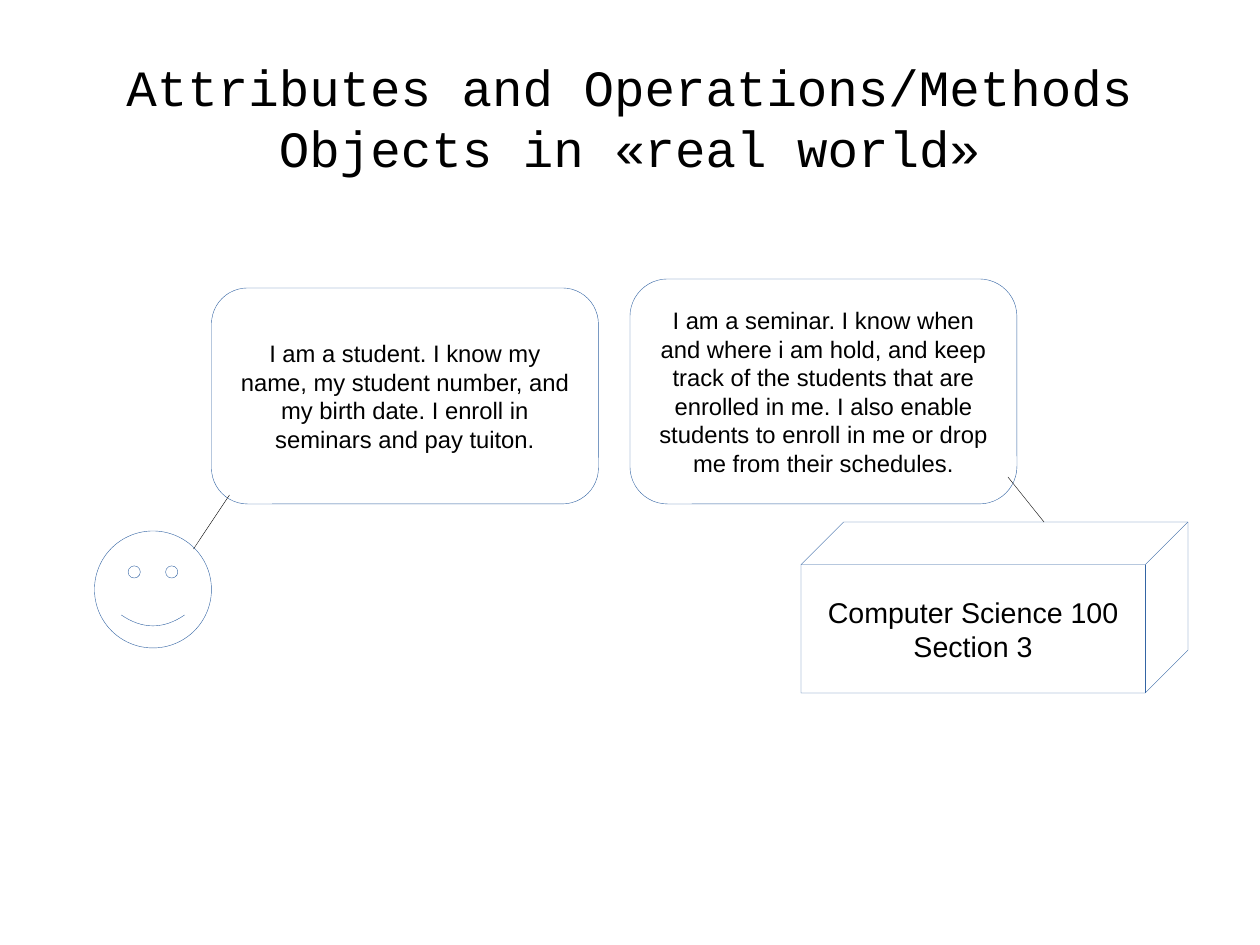
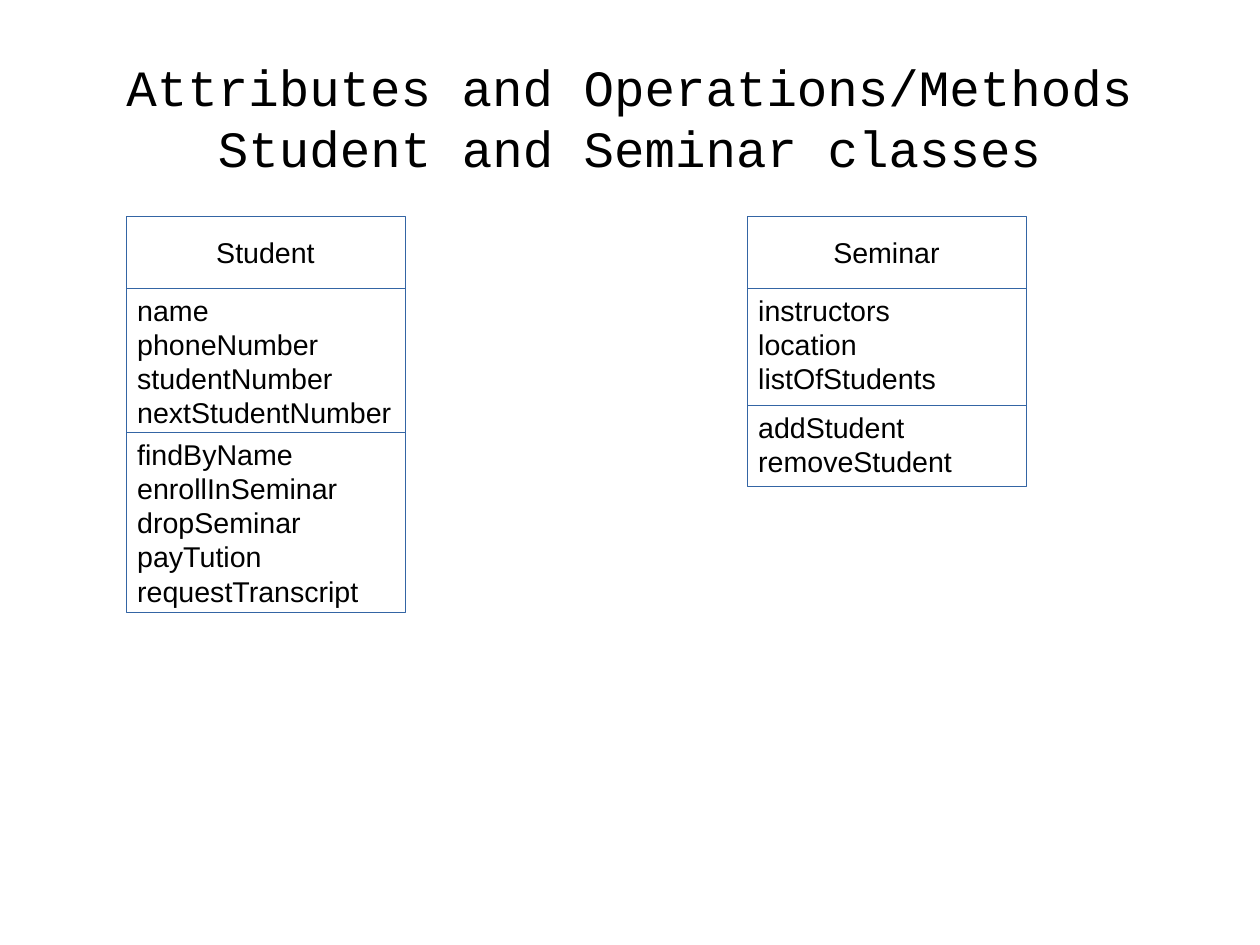
"""Build two slides on attributes and operations: real-world objects and their classes."""
from pptx import Presentation
from pptx.dml.color import RGBColor
from pptx.enum.shapes import MSO_CONNECTOR, MSO_SHAPE
from pptx.enum.text import MSO_ANCHOR, MSO_AUTO_SIZE, PP_ALIGN
from pptx.oxml.ns import qn
from pptx.util import Cm, Pt
from lxml import etree

LEFT, CENTER = PP_ALIGN.LEFT, PP_ALIGN.CENTER
TOP, MIDDLE = MSO_ANCHOR.TOP, MSO_ANCHOR.MIDDLE
NO_AUTOFIT = MSO_AUTO_SIZE.NONE
RECTANGLE, ROUNDED = MSO_SHAPE.RECTANGLE, MSO_SHAPE.ROUNDED_RECTANGLE
SMILEY, CUBE = MSO_SHAPE.SMILEY_FACE, MSO_SHAPE.CUBE
STRAIGHT = MSO_CONNECTOR.STRAIGHT
TITLE_ONLY = 5

color = RGBColor.from_string
BLACK, BLUE = "000000", "3465A4"
HAIRLINE = Pt(0.25)


def write_text(shape, text, size, font="Arial", align=CENTER, anchor=MIDDLE):
    frame = shape.text_frame
    frame.text = text
    frame.word_wrap = True
    frame.auto_size = NO_AUTOFIT
    frame.vertical_anchor = anchor
    for paragraph in frame.paragraphs:
        paragraph.alignment = align
        paragraph.font.name = font
        paragraph.font.size = Pt(size)
        paragraph.font.color.rgb = color(BLACK)
    return frame


def add_outline(slide, kind, left, top, width, height):
    shape = slide.shapes.add_shape(kind, Cm(left), Cm(top), Cm(width), Cm(height))
    shape.shadow.inherit = False
    shape.fill.background()
    shape.line.color.rgb = color(BLUE)
    shape.line.width = HAIRLINE
    return shape


presentation = Presentation()
presentation.slide_width, presentation.slide_height = Cm(28), Cm(21)
layout = presentation.slide_layouts[TITLE_ONLY]

slides = []
for subtitle in ("Objects in «real world»", "Student and Seminar classes"):
    slide = presentation.slides.add_slide(layout)
    title = slide.shapes.title
    title.left, title.top, title.width, title.height = Cm(1.4), Cm(0.84), Cm(25.2), Cm(3.5)
    frame = write_text(title, f"Attributes and Operations/Methods\v{subtitle}",
                       32, font="Courier New")
    frame.margin_left = frame.margin_right = frame.margin_top = frame.margin_bottom = 0
    slides.append(slide)
objects_slide, classes_slide = slides

add_outline(objects_slide, SMILEY, 2.1, 11.8, 2.6, 2.6)
section_cube = add_outline(objects_slide, CUBE, 17.8, 11.6, 8.6, 3.8)
write_text(section_cube, "Computer Science 100\vSection 3", 18)

speeches = [
    (4.7, 6.4, 4.8, (4.3, 12.2, 5.1, 11),
     "I am a student. I know my name, my student number, and my birth date. "
     "I enroll in seminars and pay tuiton."),
    (14, 6.2, 5, (23.2, 11.6, 22.4, 10.6),
     "I am a seminar. I know when and where i am hold, and keep track of the students "
     "that are enrolled in me. I also enable students to enroll in me or drop me from "
     "their schedules."),
]
for left, top, height, pointer_ends, speech in speeches:
    bubble = add_outline(objects_slide, ROUNDED, left, top, 8.6, height)
    write_text(bubble, speech, 15)
    pointer = objects_slide.shapes.add_connector(STRAIGHT, *map(Cm, pointer_ends))
    pointer.line.color.rgb = color(BLACK)
    pointer.line.width = HAIRLINE
    etree.SubElement(pointer._element.spPr, qn("a:effectLst"))

classes = [
    (2.8, "Student", [
        (3.2, ["name", "phoneNumber", "studentNumber", "nextStudentNumber"]),
        (4, ["findByName", "enrollInSeminar", "dropSeminar", "payTution", "requestTranscript"]),
    ]),
    (16.6, "Seminar", [
        (2.6, ["instructors", "location", "listOfStudents"]),
        (1.8, ["addStudent", "removeStudent"]),
    ]),
]
CLASS_TOP, CLASS_WIDTH, HEADER_HEIGHT = 4.8, 6.2, 1.6
for left, class_name, compartments in classes:
    header = add_outline(classes_slide, RECTANGLE, left, CLASS_TOP, CLASS_WIDTH, HEADER_HEIGHT)
    write_text(header, class_name, 18)
    top = CLASS_TOP + HEADER_HEIGHT
    for height, members in compartments:
        compartment = add_outline(classes_slide, RECTANGLE, left, top, CLASS_WIDTH, height)
        frame = write_text(compartment, "\n".join(members), 18, align=LEFT, anchor=TOP)
        frame.margin_top = Cm(0.1)
        frame.margin_bottom = 0
        top += height

presentation.save("out.pptx")
